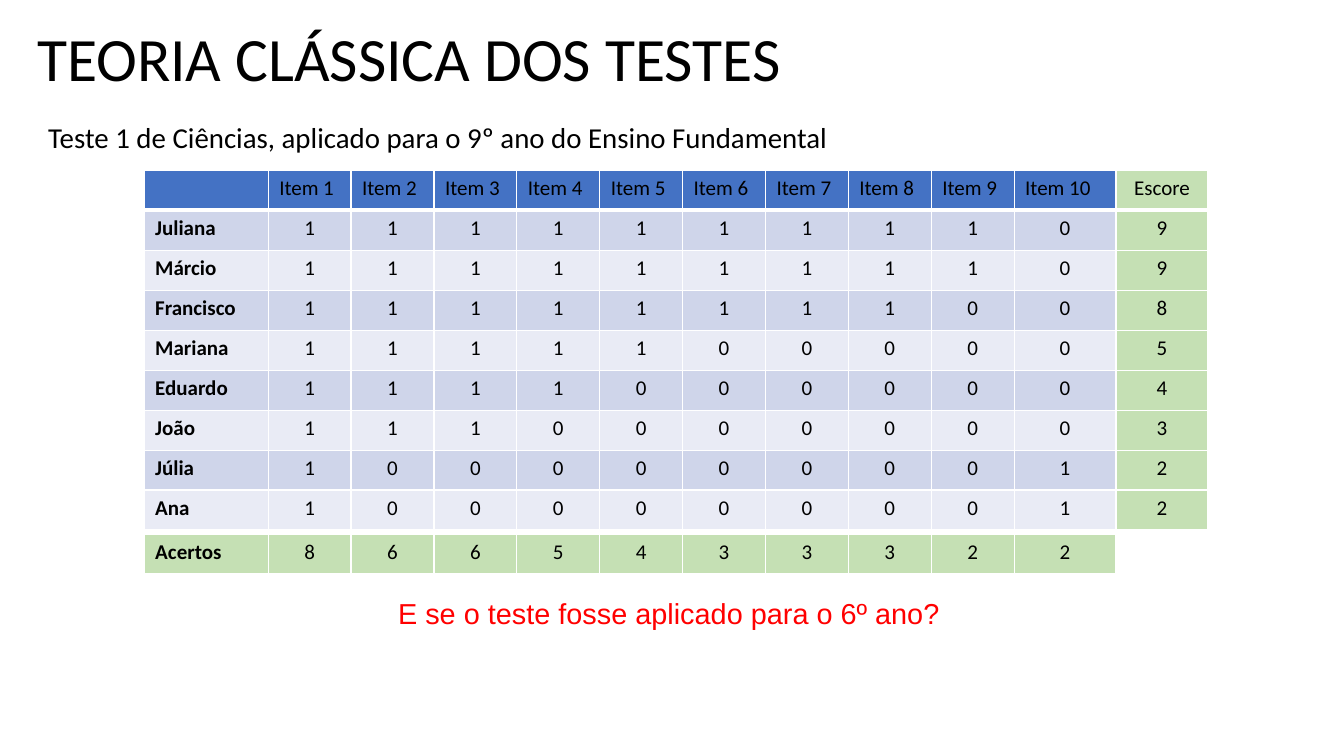
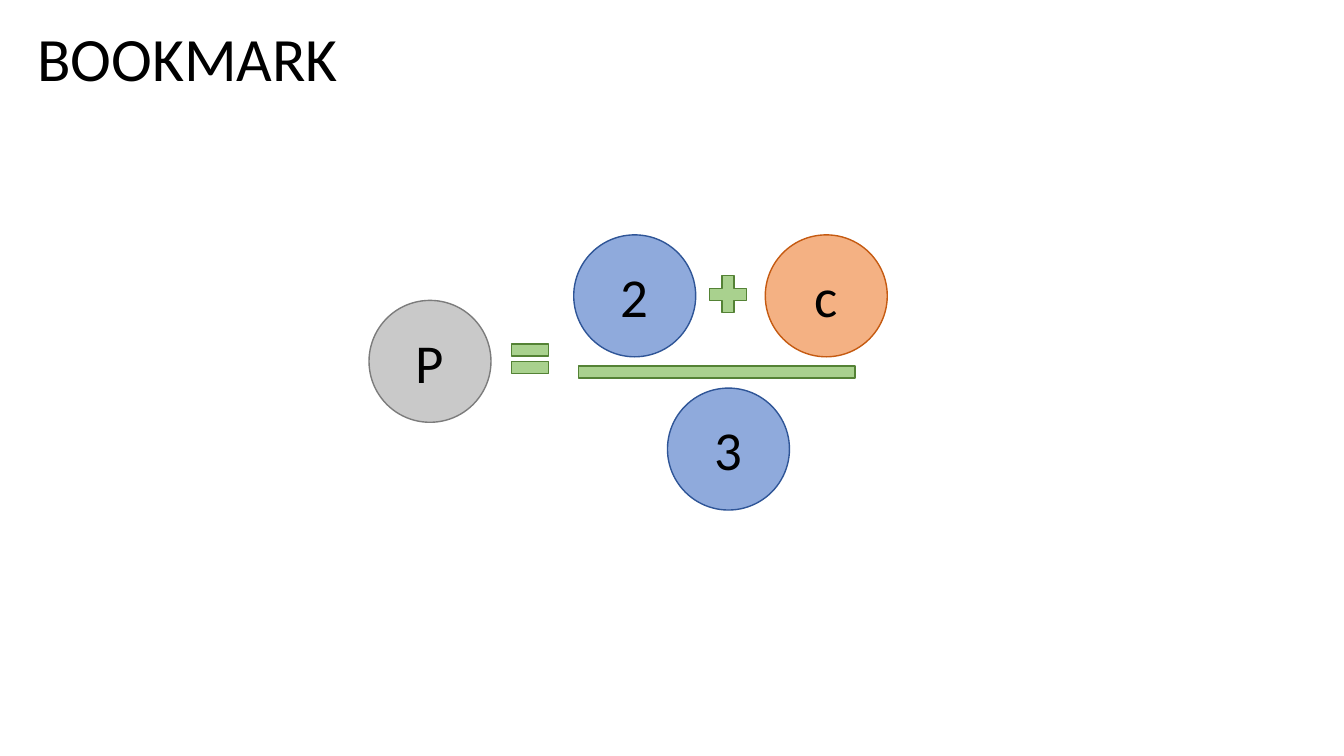
from lxml import etree
from pptx import Presentation
from pptx.dml.color import RGBColor
from pptx.enum.shapes import MSO_SHAPE as Preset
from pptx.enum.text import MSO_ANCHOR as Anchor, PP_ALIGN as Align
from pptx.oxml.ns import qn
from pptx.util import Inches, Pt

COLORS = {
    "text": "000000",
    "question": "FF0000",
    "border": "FFFFFF",
    "header": "4472C4",
    "band_dark": "CFD5EA",
    "band_light": "E9EBF5",
    "total": "C5E0B4",
    "gray": "C9C9C9",
    "gray_line": "7C7C7C",
    "blue": "8FAADC",
    "blue_line": "2F5597",
    "orange": "F4B183",
    "orange_line": "C55A11",
    "green": "A9D18E",
    "green_line": "548235",
}
FONT = "Calibri"
ANSWERS = {
    "Juliana": [1, 1, 1, 1, 1, 1, 1, 1, 1, 0],
    "Márcio": [1, 1, 1, 1, 1, 1, 1, 1, 1, 0],
    "Francisco": [1, 1, 1, 1, 1, 1, 1, 1, 0, 0],
    "Mariana": [1, 1, 1, 1, 1, 0, 0, 0, 0, 0],
    "Eduardo": [1, 1, 1, 1, 0, 0, 0, 0, 0, 0],
    "João": [1, 1, 1, 0, 0, 0, 0, 0, 0, 0],
    "Júlia": [1, 0, 0, 0, 0, 0, 0, 0, 0, 1],
    "Ana": [1, 0, 0, 0, 0, 0, 0, 0, 0, 1],
}


def color(name):
    return RGBColor.from_string(COLORS[name])


def style_text(paragraph, size, tint="text", font=FONT, bold=False, align=Align.LEFT):
    paragraph.alignment = align
    for item in [paragraph, *paragraph.runs]:
        item.font.name = font
        item.font.size = Pt(size)
        item.font.bold = bold
        item.font.color.rgb = color(tint)


def add_text(slide, box, text, size, spacing=0.9, anchor=Anchor.MIDDLE, inset=0.05, **style):
    shape = slide.shapes.add_textbox(*map(Inches, box))
    frame = shape.text_frame
    frame.word_wrap = True
    frame.vertical_anchor = anchor
    frame.margin_top = frame.margin_bottom = Inches(inset)
    frame.text = text
    paragraph = frame.paragraphs[0]
    paragraph.line_spacing = spacing
    style_text(paragraph, size, **style)


def add_titled_slide(presentation, title):
    slide = presentation.slides.add_slide(presentation.slide_layouts[6])
    add_text(slide, (0.27, 0.22, 12.8, 0.79), title, 44)
    return slide


def set_borders(cell, bottom):
    properties = cell._tc.get_or_add_tcPr()
    sides = {"lnL": 1, "lnR": 1, "lnT": 1, "lnB": bottom}
    for index, (side, width) in enumerate(sides.items()):
        line = etree.Element(qn(f"a:{side}"), w=str(Pt(width)))
        fill = etree.SubElement(line, qn("a:solidFill"))
        etree.SubElement(fill, qn("a:srgbClr"), val=COLORS["border"])
        properties.insert(index, line)


def style_cell(cell, text, fill, bold, align, bottom):
    cell.fill.solid()
    cell.fill.fore_color.rgb = color(fill)
    cell.margin_left = cell.margin_right = Inches(0.11)
    cell.text_frame.text = text
    style_text(cell.text_frame.paragraphs[0], 15, bold=bold, align=align)
    set_borders(cell, bottom)


def add_grid(slide, box, widths, rows, fills, names=True, thick_row=0):
    frame = slide.shapes.add_table(len(rows), len(widths), *map(Inches, box))
    table = frame.table
    table.first_row = table.horz_banding = False
    for column, width in zip(table.columns, widths):
        column.width = Inches(width)
    for row, values in enumerate(rows):
        table.rows[row].height = Inches(box[3] / len(rows))
        for column, value in enumerate(values):
            is_name = names and column == 0
            left = is_name or str(value).startswith("Item")
            style_cell(
                table.cell(row, column), str(value), fills[row], is_name,
                Align.LEFT if left else Align.CENTER, 3 if row == thick_row else 1,
            )


def add_score_tables(slide, left, top, width, height):
    name_width, last_width, score_width = 1.23, 1.01, 0.91
    item_width = (width - name_width - last_width) / 9
    widths = [name_width] + [item_width] * 9 + [last_width]
    header = [""] + [f"Item {number}" for number in range(1, 11)]
    rows = [header] + [[name, *marks] for name, marks in ANSWERS.items()]
    bands = ["header"] + ["band_dark", "band_light"] * 4
    scores = [["Escore"]] + [[sum(marks)] for marks in ANSWERS.values()]
    hits = ["Acertos"] + [sum(marks) for marks in zip(*ANSWERS.values())]
    add_grid(slide, (left, top, width, height), widths, rows, bands)
    add_grid(slide, (left + width, top, score_width, height), [score_width],
             scores, ["total"] * len(scores), names=False)
    add_grid(slide, (left, top + height + 0.04, width, 0.4), widths, [hits], ["total"])


def add_symbol(slide, preset, box, tint, text=""):
    shape = slide.shapes.add_shape(preset, *map(Inches, box))
    shape.shadow.inherit = False
    shape.fill.solid()
    shape.fill.fore_color.rgb = color(tint)
    shape.line.color.rgb = color(f"{tint}_line")
    shape.line.width = Pt(1)
    if text:
        shape.text_frame.vertical_anchor = Anchor.MIDDLE
        shape.text_frame.text = text
        style_text(shape.text_frame.paragraphs[0], 39.2, align=Align.CENTER)


def add_equation(slide, left, top):
    circle, sign = 1.21, 0.5
    terms = [
        ("P", 0, 0.65, "gray"),
        ("2", 2.03, 0, "blue"),
        ("c", 3.93, 0, "orange"),
        ("3", 2.96, 1.52, "blue"),
    ]
    for text, x, y, tint in terms:
        add_symbol(slide, Preset.OVAL, (left + x, top + y, circle, circle), tint, text)
    signs = [
        (Preset.MATH_PLUS, 3.31, 0.34, sign, sign),
        (Preset.MATH_EQUAL, 1.35, 0.98, sign, sign),
        (Preset.RECTANGLE, 2.08, 1.3, 2.74, 0.12),
    ]
    for preset, x, y, width, height in signs:
        add_symbol(slide, preset, (left + x, top + y, width, height), "green")


def build_theory_slide(presentation):
    slide = add_titled_slide(presentation, "TEORIA CLÁSSICA DOS TESTES")
    add_text(slide, (0, 1.13, 8.69, 0.5),
             "Teste 1 de Ciências, aplicado para o 9º ano do Ensino Fundamental",
             20.6, align=Align.CENTER)
    add_score_tables(slide, 1.43, 1.69, 9.64, 3.57)
    add_text(slide, (3.85, 5.74, 5.63, 0.65), "E se o teste fosse aplicado para o 6º ano?",
             20.6, spacing=1.5, anchor=Anchor.TOP, inset=0, tint="question", font="Arial")


def build_bookmark_slide(presentation):
    slide = add_titled_slide(presentation, "BOOKMARK")
    add_equation(slide, 3.66, 2.33)


def main():
    presentation = Presentation()
    presentation.slide_width = Inches(13.33)
    presentation.slide_height = Inches(7.5)
    build_theory_slide(presentation)
    build_bookmark_slide(presentation)
    presentation.save("out.pptx")


if __name__ == "__main__":
    main()
